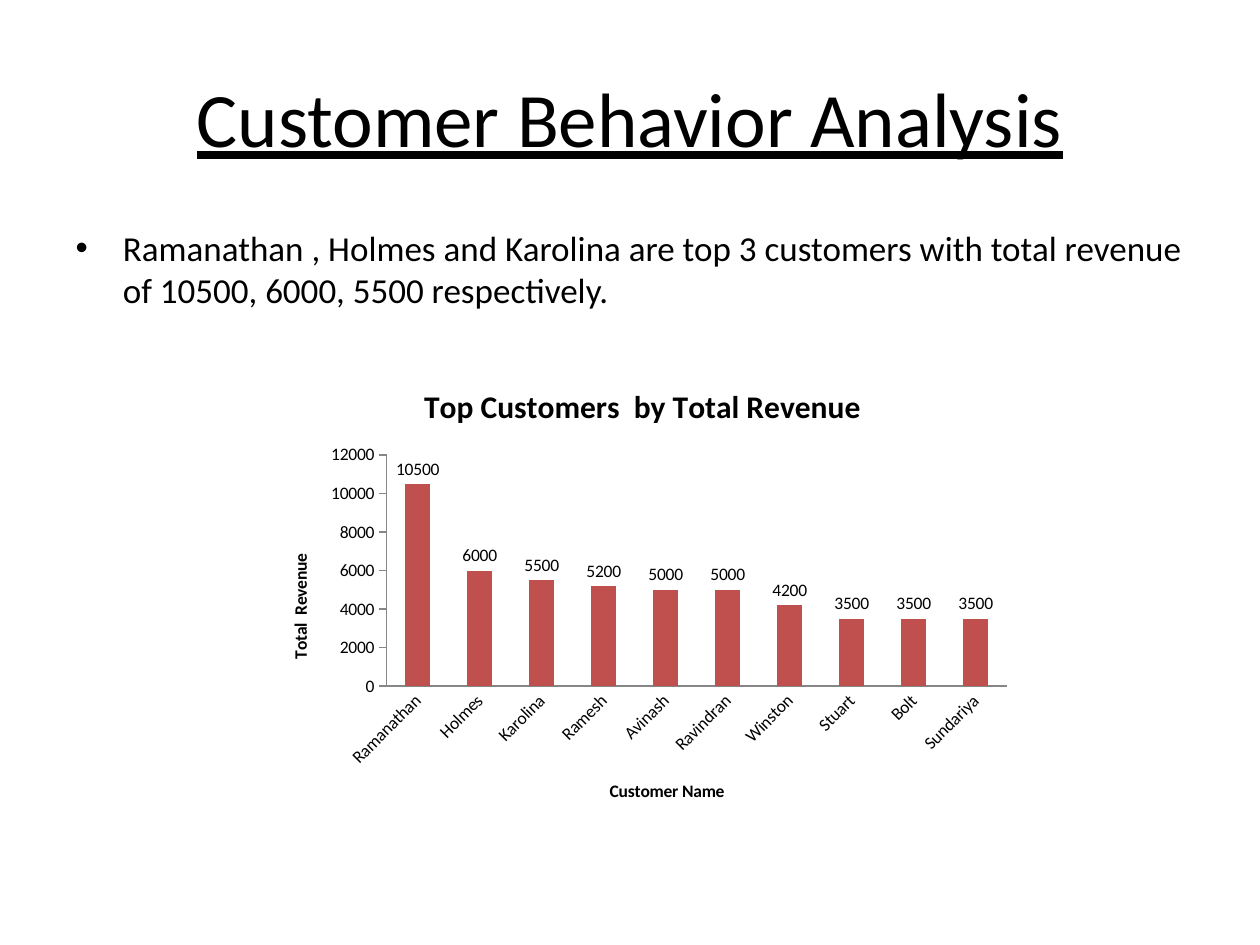
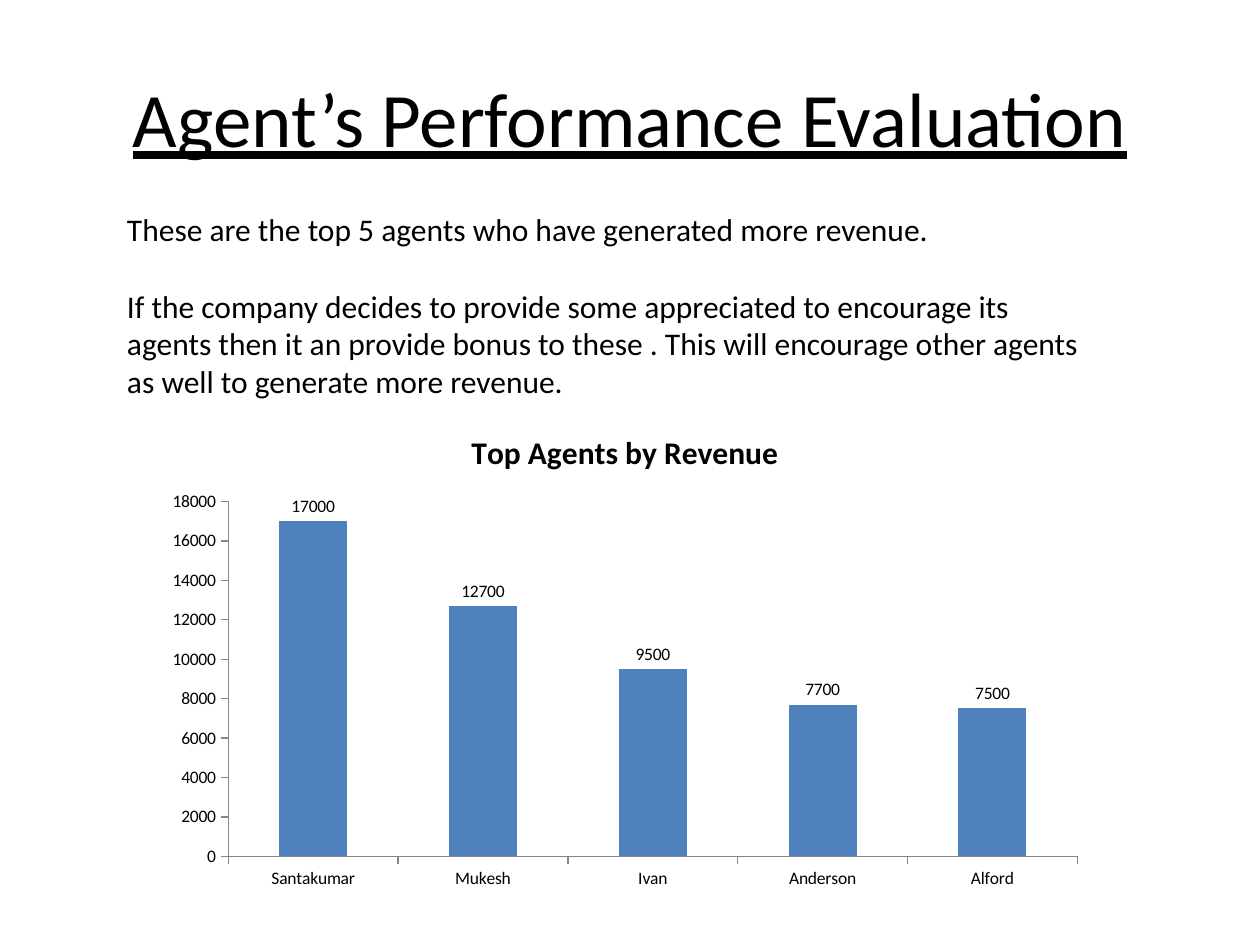
import pptx
import pptx.chart.data
import pptx.dml.color
import pptx.enum.chart
import pptx.enum.text
import pptx.util

BLACK = pptx.dml.color.RGBColor(0x00, 0x00, 0x00)
GRAY = pptx.dml.color.RGBColor(0x86, 0x86, 0x86)
RED = pptx.dml.color.RGBColor(0xC0, 0x50, 0x4D)
BLUE = pptx.dml.color.RGBColor(0x4F, 0x81, 0xBD)
FONT = "Calibri"

# The slide is a grid of 100 columns by 75 rows; boxes are left, top, width, height
COLUMNS, ROWS = 100, 75
WIDTH, HEIGHT = pptx.util.Inches(10), pptx.util.Inches(7.5)
TITLE_BOX = (5, 3, 90, 12.5)

TITLE_ONLY, TITLE_AND_BODY = 5, 1
TICK = pptx.enum.chart.XL_TICK_MARK


def place(box):
    """Turn a grid box into slide lengths."""
    left, top, width, height = box
    return (int(left * WIDTH / COLUMNS), int(top * HEIGHT / ROWS),
            int(width * WIDTH / COLUMNS), int(height * HEIGHT / ROWS))


def move(shape, box):
    shape.left, shape.top, shape.width, shape.height = place(box)


def set_font(font, size, bold=False, underline=False):
    font.name = FONT
    font.size = pptx.util.Pt(size)
    font.bold = bold
    font.underline = underline
    font.color.rgb = BLACK


def write(frame, *texts, size, bold=False, underline=False, align=None, gap=None):
    """Write one paragraph per text, with gap points before all but the first."""
    for index, text in enumerate(texts):
        para = frame.add_paragraph() if index else frame.paragraphs[0]
        if align is not None:
            para.alignment = align
        if index and gap:
            para.space_before = pptx.util.Pt(gap)
        span = para.add_run()
        span.text = text
        set_font(span.font, size, bold, underline)


def add_page(deck, layout, title):
    page = deck.slides.add_slide(deck.slide_layouts[layout])
    move(page.shapes.title, TITLE_BOX)
    write(page.shapes.title.text_frame, title, size=44, underline=True,
          align=pptx.enum.text.PP_ALIGN.CENTER)
    return page


def style_axis(axis, tick, title=None):
    axis.has_major_gridlines = False
    axis.major_tick_mark = tick
    axis.minor_tick_mark = TICK.NONE
    axis.format.line.color.rgb = GRAY
    set_font(axis.tick_labels.font, 10)
    axis.has_title = title is not None
    if title:
        write(axis.axis_title.text_frame, title, size=10, bold=True)


def add_revenue_chart(page, box, title, revenue, color, maximum, tick,
                      name_title=None, value_title=None, slanted=False):
    data = pptx.chart.data.CategoryChartData()
    data.categories = list(revenue)
    data.add_series("Series 1", list(revenue.values()))
    chart = page.shapes.add_chart(
        pptx.enum.chart.XL_CHART_TYPE.COLUMN_CLUSTERED, *place(box), data).chart
    set_font(chart.font, 10)
    chart.has_legend = False
    chart.has_title = True
    write(chart.chart_title.text_frame, title, size=18, bold=True)

    # Axes
    style_axis(chart.category_axis, tick, name_title)
    style_axis(chart.value_axis, TICK.OUTSIDE, value_title)
    chart.value_axis.minimum_scale = 0
    chart.value_axis.maximum_scale = maximum
    chart.value_axis.major_unit = 2000
    if slanted:
        names = chart.category_axis.tick_labels.font
        body = chart.category_axis._element.txPr.bodyPr
        body.set("rot", "-2700000")
        body.set("vert", "horz")
        names.size = pptx.util.Pt(10)

    # Columns and their values
    plot = chart.plots[0]
    plot.gap_width = 150
    plot.vary_by_categories = False
    fill = plot.series[0].format.fill
    fill.solid()
    fill.fore_color.rgb = color
    plot.has_data_labels = True
    labels = plot.data_labels
    labels.show_value = True
    labels.position = pptx.enum.chart.XL_LABEL_POSITION.OUTSIDE_END
    set_font(labels.font, 10)


def add_customer_page(deck):
    page = add_page(deck, TITLE_AND_BODY, "Customer Behavior Analysis")
    findings = page.placeholders[1]
    move(findings, (5, 17.5, 90, 49.5))
    write(findings.text_frame,
          "Ramanathan , Holmes and Karolina are top 3 customers with total "
          "revenue of 10500, 6000, 5500 respectively.", size=20)
    revenue = {"Ramanathan": 10500, "Holmes": 6000, "Karolina": 5500,
               "Ramesh": 5200, "Avinash": 5000, "Ravindran": 5000,
               "Winston": 4200, "Stuart": 3500, "Bolt": 3500, "Sundariya": 3500}
    add_revenue_chart(page, (20.9, 28.8, 60.2, 36.9),
                      "Top Customers  by Total Revenue", revenue, RED, 12000,
                      TICK.NONE, name_title="Customer Name ",
                      value_title="Total  Revenue", slanted=True)


def add_agent_page(deck):
    page = add_page(deck, TITLE_ONLY, "Agent’s Performance Evaluation")
    revenue = {"Santakumar": 17000, "Mukesh": 12700, "Ivan": 9500,
               "Anderson": 7700, "Alford": 7500}
    add_revenue_chart(page, (12.2, 32.4, 74.8, 38.9), "Top Agents by Revenue",
                      revenue, BLUE, 18000, TICK.OUTSIDE)
    # Advice above the chart
    advice = page.shapes.add_textbox(*place((9.1, 16.2, 78, 16.2))).text_frame
    advice.word_wrap = True
    write(advice,
          "These are the top 5 agents who have generated more revenue.",
          "If the company decides to provide some appreciated to encourage its "
          "agents then it an provide bonus to these . This will encourage other "
          "agents as well to generate more revenue.", size=18, gap=22)


def main():
    deck = pptx.Presentation()
    deck.slide_width, deck.slide_height = WIDTH, HEIGHT
    add_customer_page(deck)
    add_agent_page(deck)
    deck.save("out.pptx")


if __name__ == "__main__":
    main()
